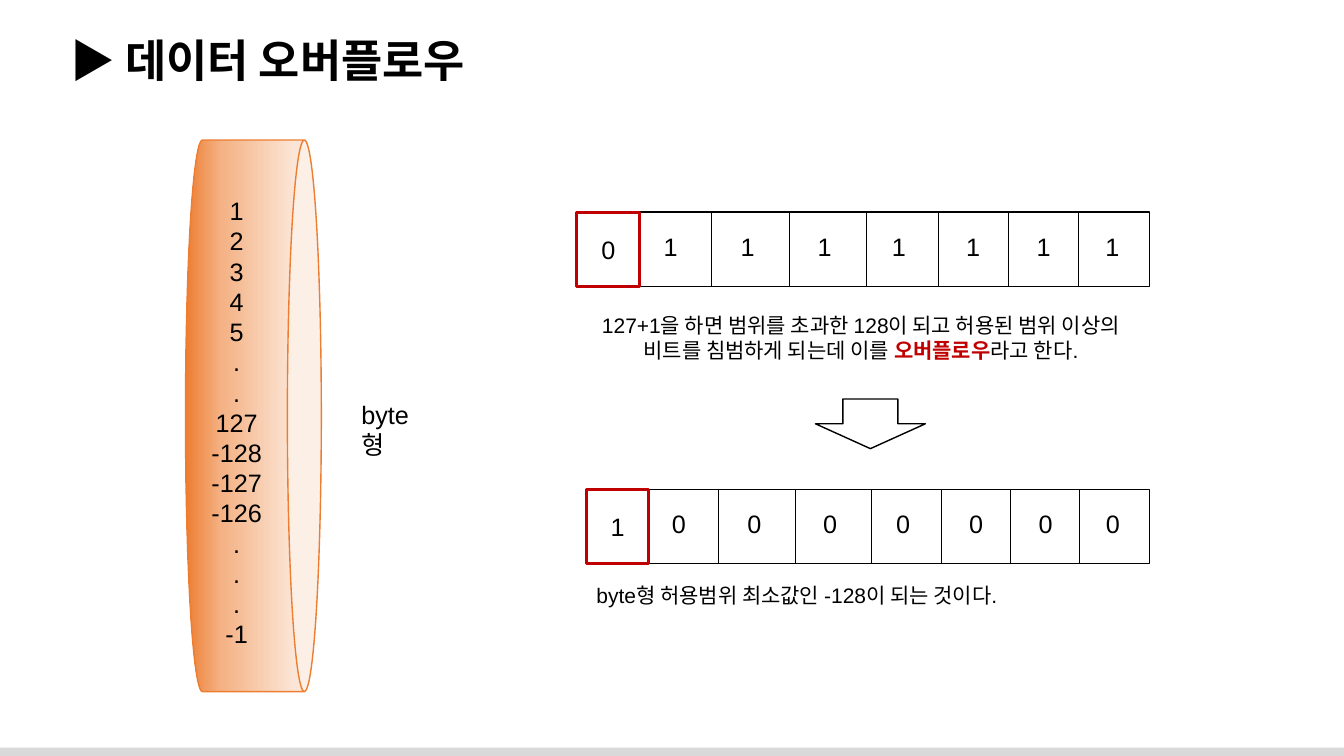
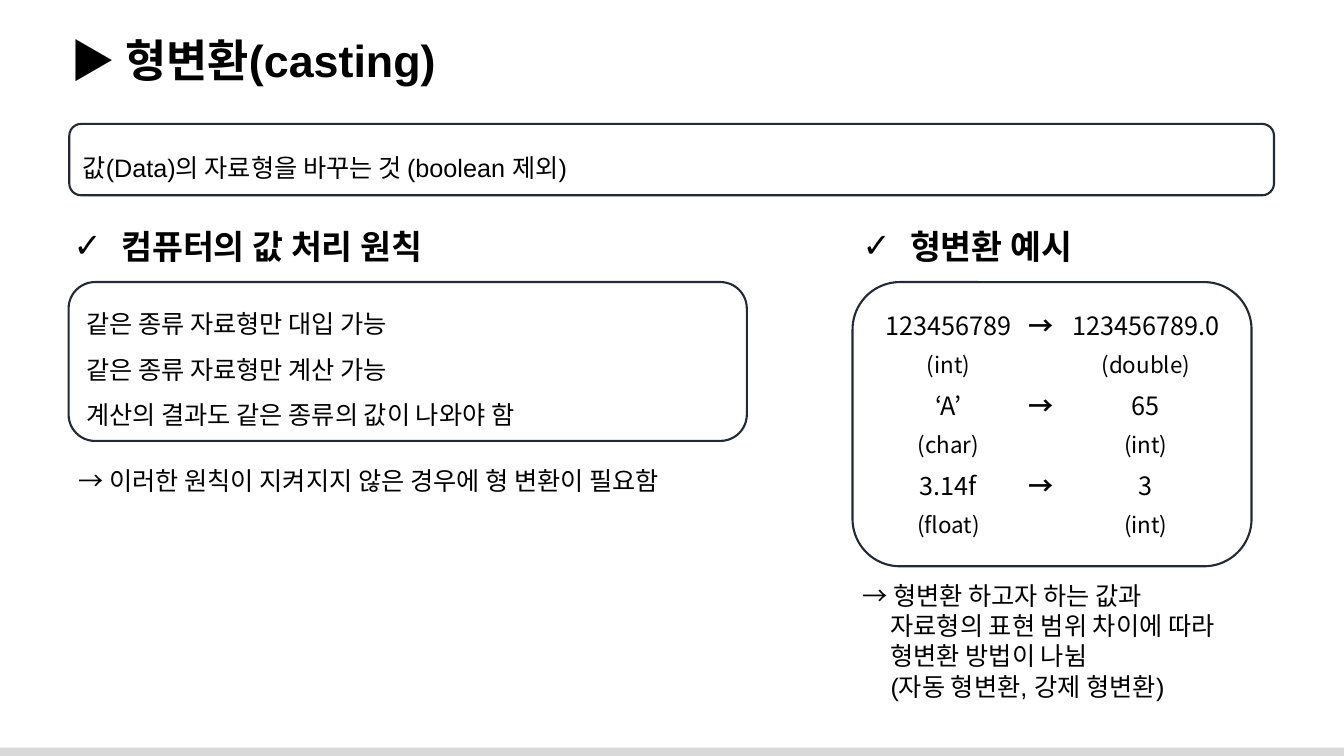
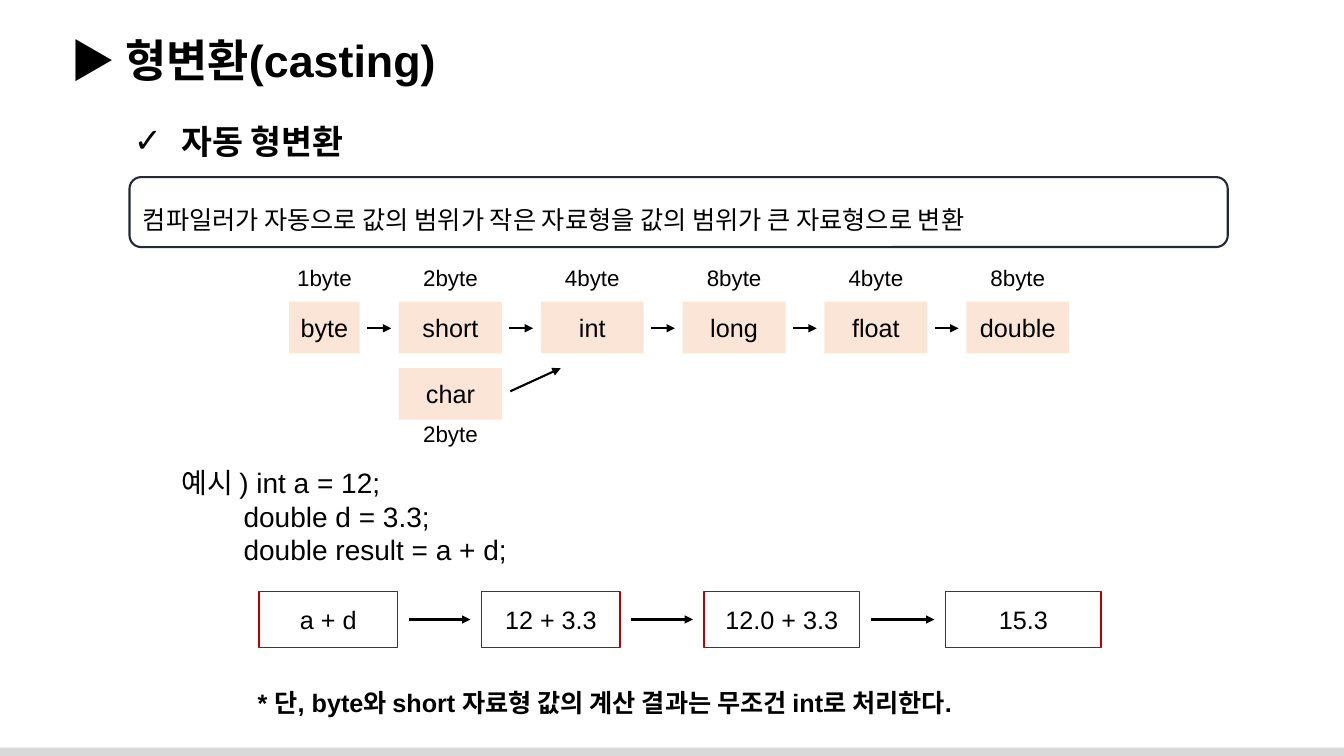
from copy import deepcopy
from dataclasses import dataclass

from lxml import etree
from pptx import Presentation
from pptx.dml.color import RGBColor
from pptx.enum import shapes, text
from pptx.oxml.ns import qn
from pptx.util import Pt


@dataclass(frozen=True)
class Theme:
    font: str = "Arial"
    cjk: str = "Noto Sans CJK KR"
    ink: str = "000000"
    red: str = "C00000"
    navy: str = "222A35"
    peach: str = "FBE5D6"
    band: str = "D9D9D9"
    orange: str = "ED7D31"
    fade: tuple = ((0.2, "FBE5D6"), (0.74, "F4B183"), (1, "ED7D31"))
    title: int = 32
    head: int = 24
    code: int = 20
    body: int = 18
    small: int = 16
    note: int = 15


T = Theme()
KIND = shapes.MSO_SHAPE
MID = text.PP_ALIGN.CENTER

# Content
COUNT = "1 2 3 4 5 . . 127 -128 -127 -126 . . . -1".split()
EDGES = [412, 457, 508, 564, 619, 670, 720, 770, 821]
MIDS = [434.5, 479, 534, 589, 642, 695, 745.5, 794.5]
BITS = [("01111111", 412, 151.5), ("10000000", 419, 349.5)]  # bits, left, top
OVER = [("127+1을 하면 범위를 초과한 128이 되고 허용된 범위 이상의 비트를 침범하게 되는데 이를 ", False),
        ("오버플로우", True), ("라고 한다.", False)]
RULES = ["같은 종류 자료형만 대입 가능", "같은 종류 자료형만 계산 가능",
         "계산의 결과도 같은 종류의 값이 나와야 함"]
CASTS = [("123456789", "→", "123456789.0"), ("(int)", "", "(double)"),
         ("‘A’", "→", "65"), ("(char)", "", "(int)"),
         ("3.14f", "→", "3"), ("(float)", "", "(int)")]
WAYS = ["→ 형변환 하고자 하는 값과", "자료형의 표현 범위 차이에 따라",
        "형변환 방법이 나뉨", "(자동 형변환, 강제 형변환)"]
TYPES = [("byte", "1byte"), ("short", "2byte"), ("int", "4byte"),
         ("long", "8byte"), ("float", "4byte"), ("double", "8byte")]
CODE = ["예시 ) int a = 12;", "        double d = 3.3;",
        "        double result = a + d;"]
STEPS = [("a + d", 185, 99), ("12 + 3.3", 344, 99),
         ("12.0 + 3.3", 503, 111), ("15.3", 675.5, 111)]  # text, left, width


# Helpers
def rgb(code):
    return RGBColor.from_string(code)


def style(para, size, bold=False, face=T.font):
    for run in para.runs:
        run.font.name, run.font.size, run.font.bold = face, Pt(size), bold
        run.font.color.rgb = rgb(T.ink)


def write(frame, lines, size, bold=False, align=None, gap=None):
    frame.word_wrap = True
    frame.text = "\n".join(lines)
    for para in frame.paragraphs:
        para.alignment, para.line_spacing = align, gap
        style(para, size, bold)


def label(slide, box, lines, size=T.body, **look):
    shape = slide.shapes.add_textbox(*map(Pt, box))
    write(shape.text_frame, lines, size, **look)
    return shape.text_frame


def block(slide, kind, box, fill=None, line=None, width=1.0, lines=(), **look):
    shape = slide.shapes.add_shape(kind, *map(Pt, box))
    shape.shadow.inherit = False
    if fill:
        shape.fill.solid()
        shape.fill.fore_color.rgb = rgb(fill)
    else:
        shape.fill.background()
    if line:
        shape.line.color.rgb, shape.line.width = rgb(line), Pt(width)
    else:
        shape.line.fill.background()
    if lines:
        shape.text_frame.vertical_anchor = text.MSO_ANCHOR.MIDDLE
        write(shape.text_frame, lines, T.body, **look)
    return shape


def panel(slide, box, lines=()):
    block(slide, KIND.ROUNDED_RECTANGLE, box, line=T.navy, width=1.5,
          lines=lines, align=text.PP_ALIGN.LEFT, gap=1.5)


def rule(slide, x1, y1, x2, y2, width=1.5, arrow=True):
    line = slide.shapes.add_connector(shapes.MSO_CONNECTOR.STRAIGHT,
                                      Pt(x1), Pt(y1), Pt(x2), Pt(y2))
    line.line.color.rgb, line.line.width = rgb(T.ink), Pt(width)
    props = line.element.spPr
    if arrow:
        etree.SubElement(props.find(qn("a:ln")), qn("a:tailEnd"), type="triangle")
    etree.SubElement(props, qn("a:effectLst"))


def check(slide, x, y, words):
    frame = label(slide, (x, y, 295, 37), [words], T.head, bold=True)
    props = frame.paragraphs[0]._p.get_or_add_pPr()
    props.set("marL", str(Pt(34)))
    props.set("indent", str(-Pt(34)))
    etree.SubElement(props, qn("a:buFont"), typeface=T.font)
    etree.SubElement(props, qn("a:buChar"), char="✓")


def page(deck, title):
    slide = deck.slides.add_slide(deck.slide_layouts[6])
    block(slide, KIND.RECTANGLE, (0, 534, 960, 6), fill=T.band)
    label(slide, (43, 20, 907, 46), ["▶ " + title], T.title, bold=True)
    return slide


# Data overflow
def bit_row(slide, bits, left, top):
    high, right = 53, EDGES[-1]
    scale = (right - left) / (right - EDGES[0])

    def place(x):
        return round(right - (right - x) * scale, 2)

    block(slide, KIND.RECTANGLE, (left, top, right - left, high), line=T.ink)
    for x in EDGES[1:-1]:
        rule(slide, place(x), top, place(x), top + high, 0.5, False)
    block(slide, KIND.RECTANGLE, (left, top, place(EDGES[1]) - left, high),
          line=T.red, width=2.25, lines=[bits[0]], align=MID)
    for bit, x in zip(bits[1:], MIDS[1:]):
        label(slide, (place(x) - 17.5, top + 10, 35, 29), [bit], align=MID)


def overflow(deck):
    slide = page(deck, "데이터 오버플로우")
    can = block(slide, KIND.CAN, (-16, 248.5, 394, 97), line=T.orange)
    can.rotation = 90
    can.fill.gradient()
    can.fill.gradient_angle = 270
    stops = can.element.spPr.find(qn("a:gradFill")).find(qn("a:gsLst"))
    stops.append(deepcopy(stops[-1]))
    for stop, (at, tone) in zip(can.fill.gradient_stops, T.fade):
        stop.position, stop.color.rgb = at, rgb(tone)
    label(slide, (132, 136, 74, 356), COUNT, align=MID)
    label(slide, (251, 281.5, 60, 50), ["byte형"])
    for row in BITS:
        bit_row(slide, *row)
    para = label(slide, (402.5, 219.5, 425, 44), [""], align=MID).paragraphs[0]
    for words, _ in OVER:
        para.add_run().text = words
    style(para, T.note)
    for run, (_, key) in zip(para.runs, OVER):
        if key:
            run.font.bold, run.font.color.rgb = True, rgb(T.red)
    label(slide, (419, 412.5, 509, 25),
          ["byte형 허용범위 최소값인 -128이 되는 것이다."], T.note)
    block(slide, KIND.DOWN_ARROW, (582.5, 285, 78.5, 35.5), line=T.ink)


# Casting: principle and examples
def casting(deck):
    slide = page(deck, "형변환(casting)")
    panel(slide, (49.5, 88.5, 860.5, 51), ["값(Data)의 자료형을 바꾸는 것 (boolean 제외)"])
    check(slide, 45.5, 157.5, "컴퓨터의 값 처리 원칙")
    panel(slide, (49, 201.5, 484.5, 113.5), RULES)
    label(slide, (49, 328.5, 508, 29),
          ["→ 이러한 원칙이 지켜지지 않은 경우에 형 변환이 필요함"])
    check(slide, 609, 157.5, "형변환 예시")
    panel(slide, (609, 201.5, 285, 203))
    table = slide.shapes.add_table(len(CASTS), 3, Pt(625), Pt(216.5),
                                   Pt(254.5), Pt(171.6)).table
    table.first_row = table.horz_banding = False
    for col, wide in zip(table.columns, (105, 27.5, 122)):
        col.width = Pt(wide)
    for r, row in enumerate(CASTS):
        table.rows[r].height = Pt((30, 27.2)[r % 2])
        for c, words in enumerate(row):
            cell = table.cell(r, c)
            cell.fill.background()
            cell.margin_left = cell.margin_right = Pt(2)
            cell.margin_top = cell.margin_bottom = Pt(2)
            cell.text_frame.text = words
            para = cell.text_frame.paragraphs[0]
            para.alignment = MID
            style(para, (T.body, T.small)[r % 2], words == "→", T.cjk)
    frame = label(slide, (609, 411, 350, 94), WAYS)
    for para in frame.paragraphs[1:]:
        para._p.get_or_add_pPr().set("marL", str(Pt(20)))


# Automatic casting
def type_box(slide, name, x, y, wide, size, low):
    block(slide, KIND.RECTANGLE, (x, y, wide, 36.8), fill=T.peach,
          lines=[name], align=MID)
    label(slide, (x + wide / 2 - 30, low, 60, 27), [size], T.small, align=MID)


def auto(deck):
    slide = page(deck, "형변환(casting)")
    check(slide, 88.5, 83, "자동 형변환")
    panel(slide, (92.5, 126.5, 784.5, 50),
          ["컴파일러가 자동으로 값의 범위가 작은 자료형을 값의 범위가 큰 자료형으로 변환"])
    first, step, wide = 285, 101.3, 73.5
    for i, (name, size) in enumerate(TYPES):
        x = first + step * (i - 1)
        if i:
            type_box(slide, name, x, 215.5, wide, size, 185)
            rule(slide, x - 22.5, 234.5, x - 5.5, 234.5)
        else:
            type_box(slide, name, 206.5, 215.5, 50.5, size, 185)
    type_box(slide, "char", first, 263, wide, "2byte", 296.5)
    rule(slide, 364.5, 279.5, 400.5, 263)
    label(slide, (122.5, 329, 453.5, 80), CODE, T.code)
    for i, (words, x, wide) in enumerate(STEPS):
        block(slide, KIND.RECTANGLE, (x, 422.5, wide, 40), line=T.red,
              lines=[words], align=MID)
        if i:
            _, last, span = STEPS[i - 1]
            rule(slide, last + span + 8, 442.5, x - 8, 442.5)
    label(slide, (177, 487.5, 677, 29),
          ["* 단, byte와 short 자료형 값의 계산 결과는 무조건 int로 처리한다."], bold=True)


def main():
    deck = Presentation()
    deck.slide_width, deck.slide_height = Pt(960), Pt(540)
    for build in (overflow, casting, auto):
        build(deck)
    deck.save("out.pptx")


if __name__ == "__main__":
    main()
